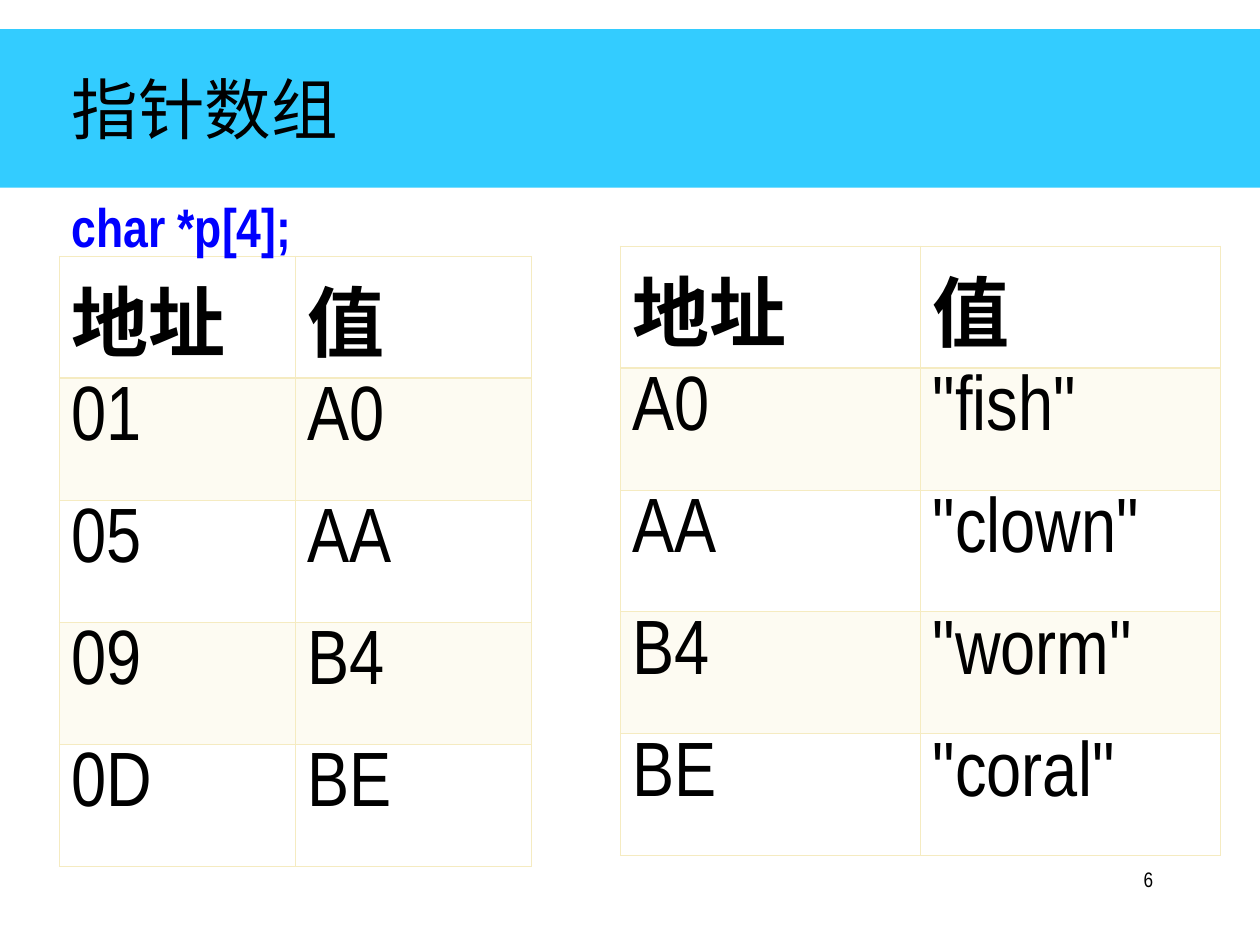
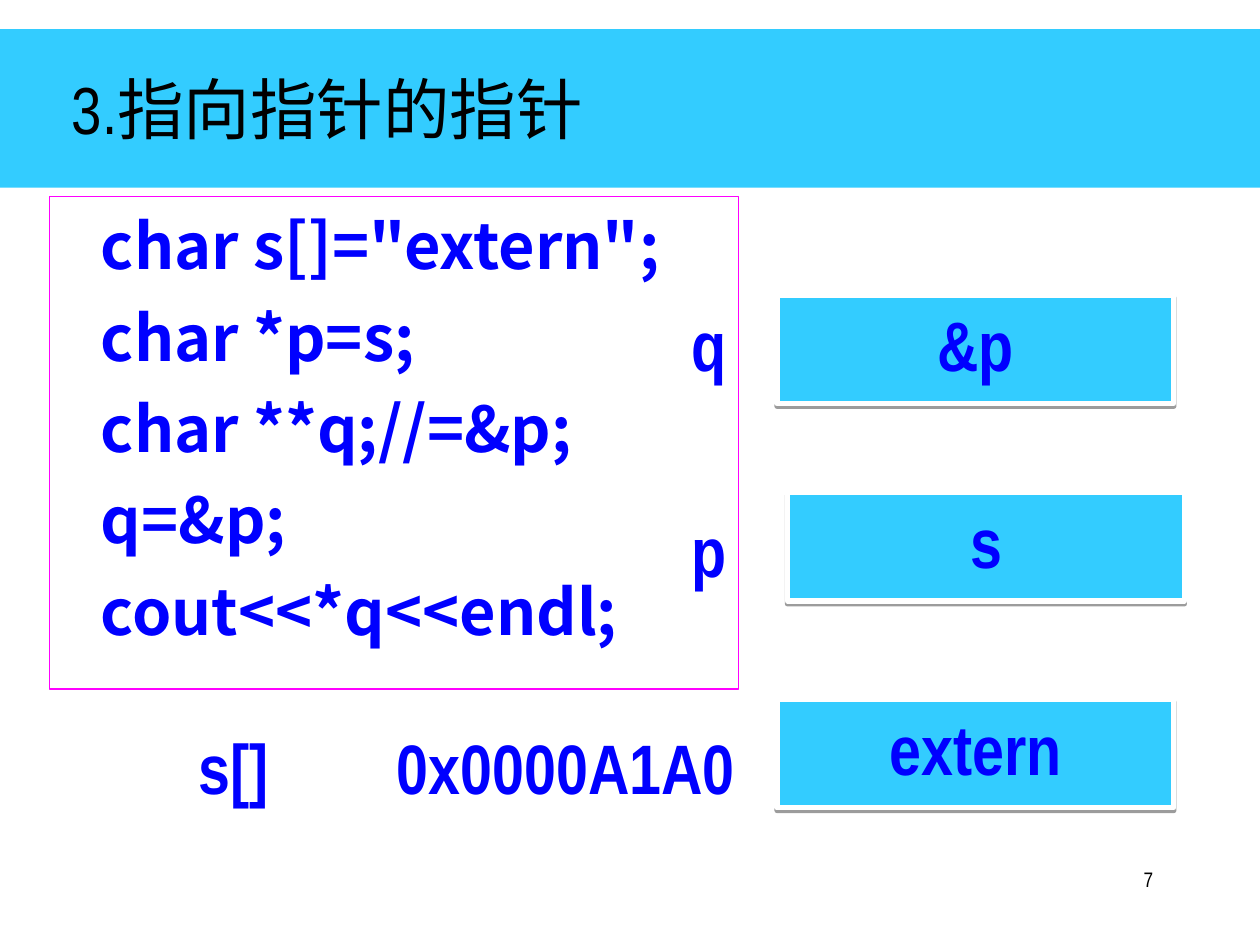
from lxml import etree
from pptx import Presentation
from pptx.dml.color import RGBColor
from pptx.enum.shapes import MSO_SHAPE
from pptx.enum.text import MSO_ANCHOR, PP_ALIGN
from pptx.oxml.ns import qn
from pptx.util import Pt

RECT = MSO_SHAPE.RECTANGLE
TOP, MID = MSO_ANCHOR.TOP, MSO_ANCHOR.MIDDLE
LEFT, MIDDLE, RIGHT = PP_ALIGN.LEFT, PP_ALIGN.CENTER, PP_ALIGN.RIGHT

SKY, BLUE, BLACK, WHITE = "33CCFF", "0000FF", "000000", "FFFFFF"
CREAM, PINK = "F5EBC1", "FF00FF"
FONT, CODE = "Arial Narrow", "Noto Sans CJK SC"


def color(code):
    return RGBColor.from_string(code)


def place(shape, box):
    shape.left, shape.top, shape.width, shape.height = map(Pt, box)


def style(para, size, tint=BLACK, bold=False, align=LEFT, font=FONT):
    para.alignment = align
    para.font.name, para.font.size, para.font.bold = font, Pt(size), bold
    para.font.color.rgb = color(tint)


def child(node, tag, **attrs):
    return etree.SubElement(node, qn(tag), {k: str(v) for k, v in attrs.items()})


def add_rect(slide, box, fill=None, line=None, width=1):
    rect = slide.shapes.add_shape(RECT, *map(Pt, box))
    rect.shadow.inherit = False
    if fill:
        rect.fill.solid()
        rect.fill.fore_color.rgb = color(fill)
    else:
        rect.fill.background()
    if line:
        rect.line.color.rgb = color(line)
        rect.line.width = Pt(width)
    else:
        rect.line.fill.background()
    rect.text_frame.word_wrap = True
    rect.text_frame.vertical_anchor = TOP
    return rect


def add_text(slide, box, text, size, **look):
    area = slide.shapes.add_textbox(*map(Pt, box))
    area.text_frame.word_wrap = True
    para = area.text_frame.paragraphs[0]
    para.text = text
    style(para, size, **look)


# Shared frame: band on the master, title and page number on each slide
def add_band(deck, slide):
    band = add_rect(slide, (0, 16.7, 720, 90.5), SKY)
    deck.slide_master.shapes._spTree.insert(2, band._element)


def add_page(deck, title, number):
    slide = deck.slides.add_slide(deck.slide_layouts[5])
    head = slide.shapes.title
    place(head, (33.8, 16.6, 612, 90))
    head.text_frame.text = title
    head.text_frame.vertical_anchor = MID
    style(head.text_frame.paragraphs[0], 38)
    add_text(slide, (516, 491.8, 150, 36), number, 12, align=RIGHT)
    return slide


# Memory table: address and value columns
def edge(cell, width, sides):
    props = cell._tc.get_or_add_tcPr()
    for side in sides:
        line = child(props, "a:ln" + side, w=Pt(width))
        child(child(line, "a:solidFill"), "a:srgbClr", val=CREAM)


def add_memory(slide, left, top, width, rows):
    high = 69.7
    rows = [("地址", "值")] + rows
    frame = slide.shapes.add_table(len(rows), 2, Pt(left), Pt(top),
                                   Pt(width), Pt(high * len(rows)))
    table = frame.table
    for row in table.rows:
        row.height = Pt(high)
    for r, row in enumerate(rows):
        for c, text in enumerate(row):
            cell = table.cell(r, c)
            cell.text = text
            style(cell.text_frame.paragraphs[0], 44, bold=r == 0)
            edge(cell, 0.45, "LR")
            edge(cell, 0.96 if r == 1 else 0.45, "T")
            edge(cell, 0.96 if r == 0 else 0.45, "B")
            if r % 2:
                cell.fill.solid()
                cell.fill.fore_color.rgb = color(CREAM)
                tint = cell._tc.tcPr.find(qn("a:solidFill"))[0]
                child(tint, "a:alpha", val=20000)
            else:
                cell.fill.background()


# Code panel with a thin frame
def add_code(slide, box, lines):
    panel = add_rect(slide, box, line=PINK, width=0.75)
    frame = panel.text_frame
    frame.margin_left, frame.margin_top = Pt(29.5), Pt(3)
    frame.text = "\n".join(lines)
    for para in frame.paragraphs:
        style(para, 36, BLUE, True, font=CODE)
        para.line_spacing, para.space_before = Pt(46), Pt(6.2)


# Variable box with a hard shadow below
def add_var(slide, left, top, text):
    var = add_rect(slide, (left, top, 226.8, 62), SKY, WHITE, 3)
    glow = child(var._element.spPr.find(qn("a:effectLst")), "a:outerShdw",
                 blurRad=0, dist=Pt(1.6), dir=5400000, rotWithShape=0)
    child(child(glow, "a:srgbClr", val=BLACK), "a:alpha", val=38000)
    para = var.text_frame.paragraphs[0]
    para.text = text
    style(para, 40, BLUE, True, MIDDLE)


def array_page(deck):
    slide = add_page(deck, "指针数组", "6")
    add_band(deck, slide)
    cells = ["A0", "AA", "B4", "BE"]
    words = ['"fish"', '"clown"', '"worm"', '"coral"']
    add_memory(slide, 33.8, 146.4, 270, list(zip(["01", "05", "09", "0D"], cells)))
    add_memory(slide, 354.4, 140.6, 343, list(zip(cells, words)))
    add_text(slide, (33.8, 106.6, 174, 44.6), "char *p[4];", 31, tint=BLUE, bold=True)


def pointer_page(deck):
    slide = add_page(deck, "3.指向指针的指针", "7")
    add_code(slide, (28.2, 112.4, 393.8, 281.4),
             ['char s[]="extern";', "char *p=s;", "char **q;//=&p;",
              "q=&p;", "cout<<*q<<endl;"])
    for left, top, text in [(444, 399.6, "extern"), (450, 281.5, "s"), (444, 168.6, "&p")]:
        add_var(slide, left, top, text)
    for left, top, width, text, align in [
            (106.6, 410.4, 78.5, "s[]", LEFT), (365.8, 286.6, 78.5, "p", MIDDLE),
            (365.8, 168.6, 78.5, "q", MIDDLE), (219.6, 410.4, 225.4, "0x0000A1A0", LEFT)]:
        add_text(slide, (left, top, width, 50.4), text, 40,
                 tint=BLUE, bold=True, align=align)


def main():
    deck = Presentation()
    deck.slide_width, deck.slide_height = Pt(720), Pt(540)
    array_page(deck)
    pointer_page(deck)
    deck.save("out.pptx")


if __name__ == "__main__":
    main()
